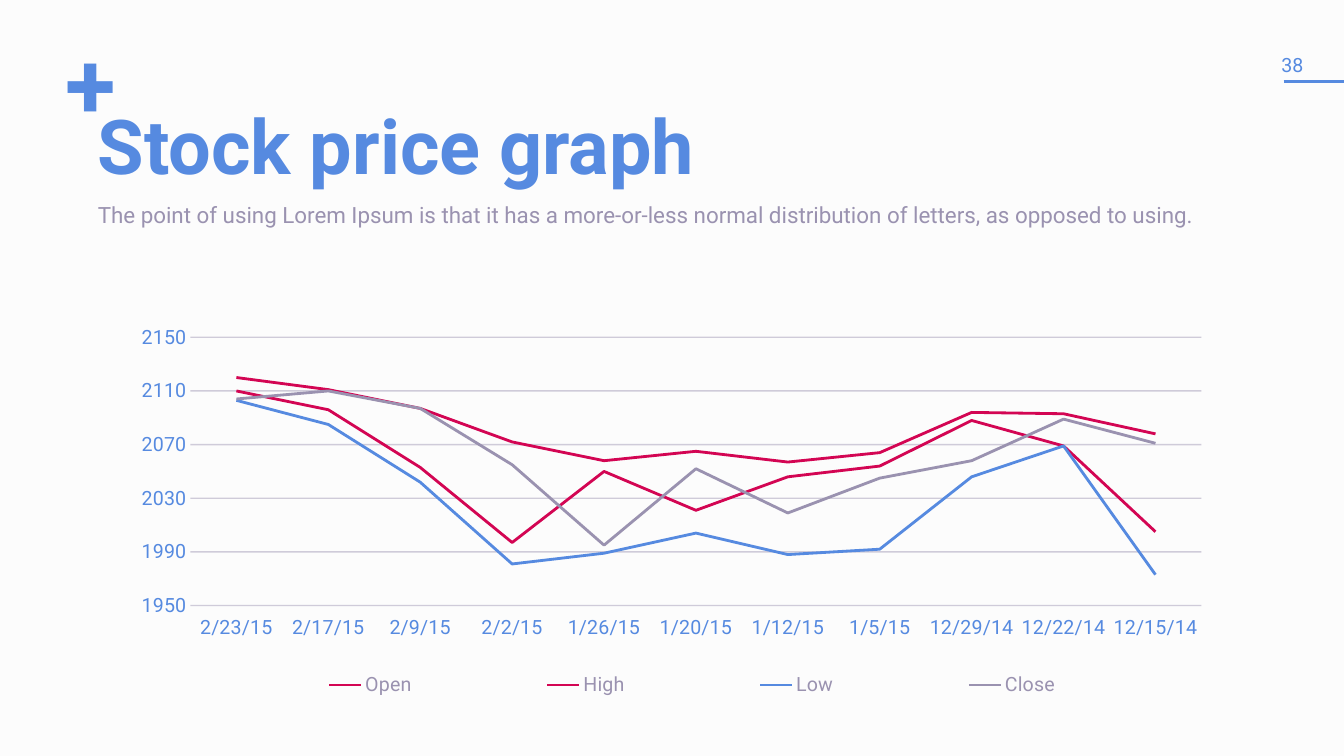
from dataclasses import dataclass
from pptx import Presentation
from pptx.chart.data import CategoryChartData as Data
from pptx.dml.color import RGBColor as RGB
from pptx.enum.chart import XL_CHART_TYPE as Kind, XL_LEGEND_POSITION as Spot
from pptx.enum.chart import XL_TICK_LABEL_POSITION as Label, XL_TICK_MARK as Tick
from pptx.enum.shapes import MSO_CONNECTOR as Wire
from pptx.enum.text import MSO_ANCHOR as Anchor
from pptx.oxml import parse_xml
from pptx.oxml.ns import nsdecls, qn
from pptx.util import Inches, Pt


@dataclass(frozen=True)
class Theme:
    face: str = "Roboto"
    back: str = "FCFCFC"
    blue: str = "568AE0"
    red: str = "D30553"
    gray: str = "9A92B0"
    plus: int = 66
    head: int = 54
    body: int = 16
    note: int = 14
    line: int = 2
    grid: int = 1


look = Theme()

texts = [
    dict(words="+", at=(4.5, 5.6, 4.58, 15.6), size=look.plus, bold=True, gap=0.8, wrap=False),
    dict(words="38", at=(94.82, 6.13, 2.7, 4.93), size=look.note, pad=0.07,
         wrap=False, anchor=Anchor.MIDDLE),
    dict(words="Stock price graph", at=(6.9, 15.2, 86.27, 12.93), size=look.head,
         bold=True, gap=0.75),
    dict(words="The point of using Lorem Ipsum is that it has a more-or-less normal "
               "distribution of letters, as opposed to using.",
         at=(6.9, 27.2, 86.27, 8.27), size=look.body, color=look.gray, gap=0.6),
]
rule = (95.5, 10.8, 100, 10.8)
frame = (9.6, 41.47, 80.2, 51.73)
plot = (0.057, 0.061, 0.938, 0.686)
key = (0.066, 0.9, 0.913, 0.1)
scale = (1950, 2150, 40)
days = ["2/23/15", "2/17/15", "2/9/15", "2/2/15", "1/26/15", "1/20/15",
        "1/12/15", "1/5/15", "12/29/14", "12/22/14", "12/15/14"]
prices = [
    ("Open", look.red, (2110, 2096, 2053, 1997, 2050, 2021, 2046, 2054, 2088, 2069, 2005)),
    ("High", look.red, (2120, 2111, 2097, 2072, 2058, 2065, 2057, 2064, 2094, 2093, 2078)),
    ("Low", look.blue, (2103, 2085, 2042, 1981, 1989, 2004, 1988, 1992, 2046, 2069, 1973)),
    ("Close", look.gray, (2104, 2110, 2097, 2055, 1995, 2052, 2019, 2045, 2058, 2089, 2071)),
]

deck = Presentation()
deck.slide_width, deck.slide_height = Inches(13.33), Inches(7.5)
slide = deck.slides.add_slide(deck.slide_layouts[6])
slide.background.fill.solid()
slide.background.fill.fore_color.rgb = RGB.from_string(look.back)


def place(shares):
    sides = (deck.slide_width, deck.slide_height) * 2
    return [int(side * share / 100) for side, share in zip(sides, shares)]


def style(font, size, color, bold=False):
    font.name, font.size, font.bold = look.face, Pt(size), bold
    font.color.rgb = RGB.from_string(color)


def stroke(line, color, width):
    line.color.rgb = RGB.from_string(color)
    line.width = Pt(width)


def write(words, at, size, color=look.blue, bold=False, gap=1.0, pad=0.05,
          wrap=True, anchor=Anchor.TOP):
    frame = slide.shapes.add_textbox(*place(at)).text_frame
    frame.text = words
    frame.word_wrap, frame.vertical_anchor = wrap, anchor
    frame.margin_left = frame.margin_right = Inches(pad)
    frame.margin_top = frame.margin_bottom = Inches(pad)
    para = frame.paragraphs[0]
    para.line_spacing = gap
    style(para.runs[0].font, size, color, bold)


def layout(node, box, inner=False):
    target = '<c:layoutTarget val="inner"/>' if inner else ""
    modes = "".join(f'<c:{side}Mode val="edge"/>' for side in "xy")
    sizes = "".join(f'<c:{side} val="{part}"/>' for side, part in zip("xywh", box))
    for old in node.findall(qn("c:layout")):
        node.remove(old)
    item = parse_xml(f'<c:layout {nsdecls("c")}><c:manualLayout>{target}{modes}{sizes}'
                     '</c:manualLayout></c:layout>')
    if inner:
        node.insert(0, item)
    else:
        node.find(qn("c:legendPos")).addnext(item)


def draw():
    data = Data(number_format="0.##")
    data.categories = days
    for name, _, values in prices:
        data.add_series(name, values)
    chart = slide.shapes.add_chart(Kind.LINE, *place(frame), data).chart
    style(chart.font, look.note, look.blue)
    chart.has_title = False
    lines = chart.plots[0]
    lines.vary_by_categories = False
    for series, (_, color, _) in zip(lines.series, prices):
        series.smooth = False
        stroke(series.format.line, color, look.line)

    dates, values = chart.category_axis, chart.value_axis
    for axis in (dates, values):
        axis.major_tick_mark = axis.minor_tick_mark = Tick.NONE
        axis.format.line.fill.background()
        style(axis.tick_labels.font, look.note, look.blue)
    dates.tick_label_position = Label.LOW
    values.minimum_scale, values.maximum_scale, values.major_unit = scale
    values.tick_labels.number_format = "0.##"
    values.tick_labels.number_format_is_linked = False
    values.has_major_gridlines = True
    grid = values.major_gridlines
    stroke(grid.format.line, look.gray, look.grid)
    for tint in values._element.find(qn("c:majorGridlines")).iter(qn("a:srgbClr")):
        tint.append(parse_xml(f'<a:alpha {nsdecls("a")} val="45000"/>'))

    chart.has_legend = True
    legend = chart.legend
    legend.position, legend.include_in_layout = Spot.BOTTOM, True
    style(legend.font, look.note, look.gray)
    layout(chart._chartSpace.chart.plotArea, plot, inner=True)
    layout(legend._element, key)


for text in texts:
    write(**text)
edge = slide.shapes.add_connector(Wire.STRAIGHT, *place(rule))
stroke(edge.line, look.blue, look.line)
edge._element.spPr.append(parse_xml(f'<a:effectLst {nsdecls("a")}/>'))
draw()
deck.save("out.pptx")
